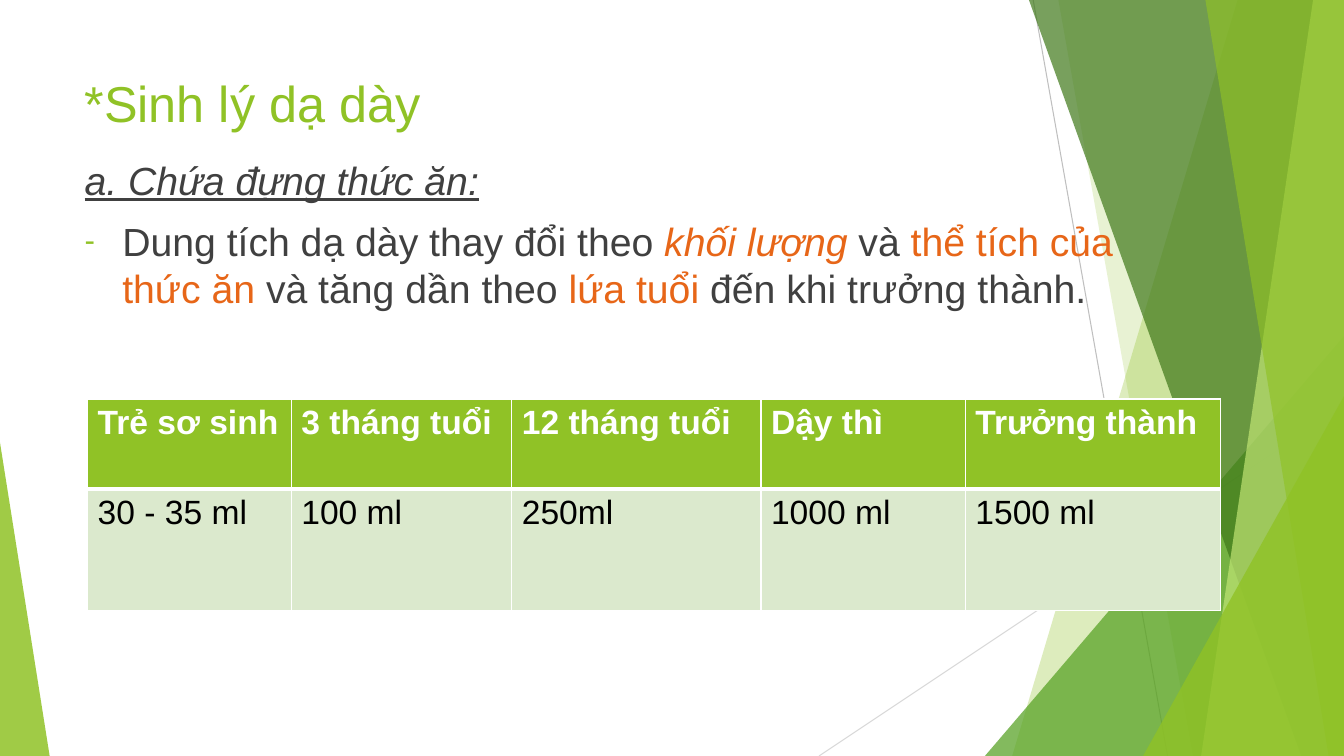
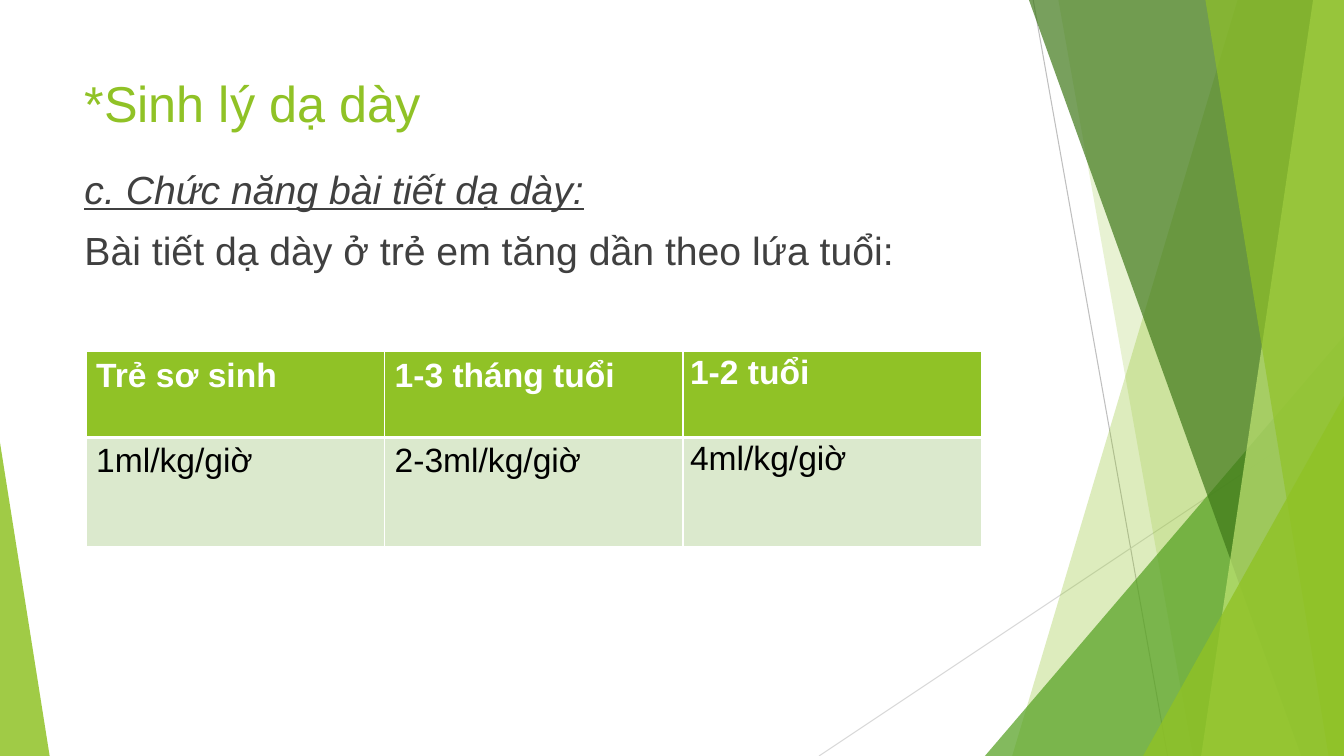
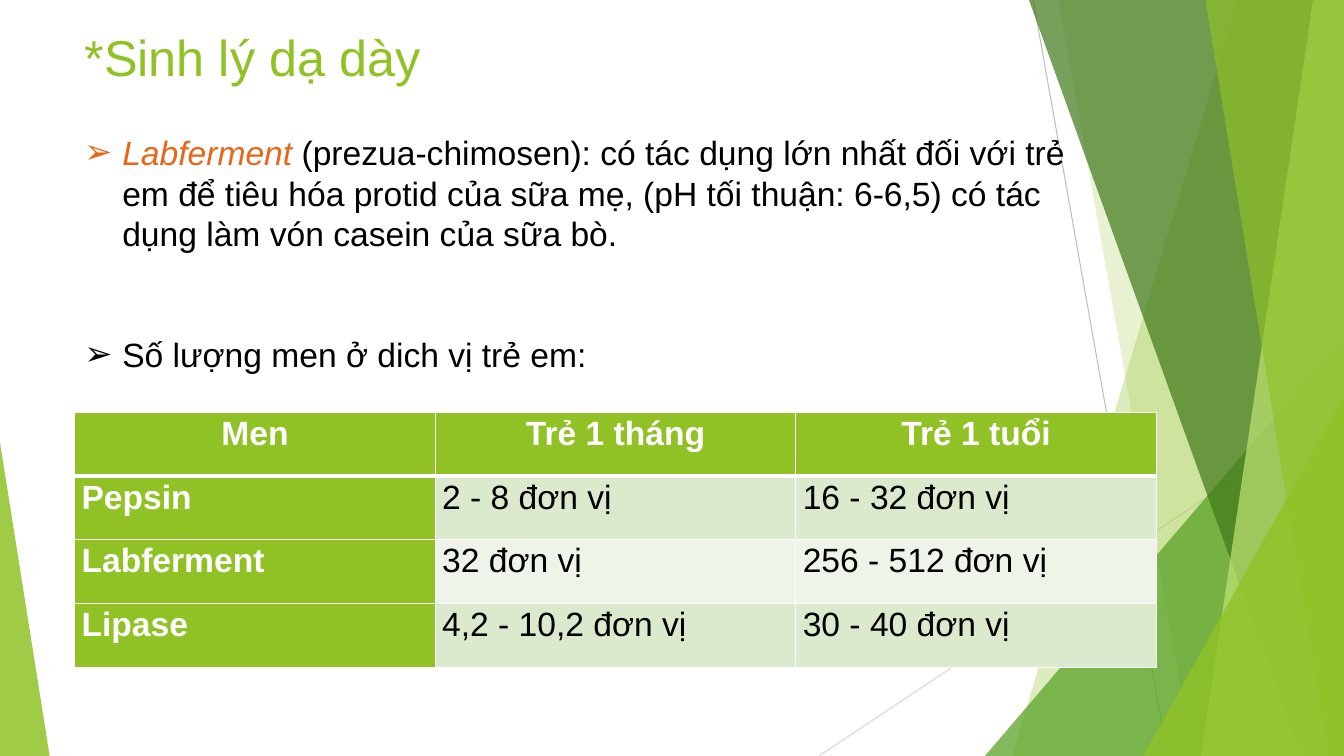
from lxml.etree import SubElement
from pptx import Presentation
from pptx.dml.color import RGBColor
from pptx.enum.shapes import MSO_CONNECTOR, MSO_SHAPE
from pptx.enum.text import MSO_ANCHOR, PP_ALIGN
from pptx.oxml.ns import qn
from pptx.util import Pt

WIDE, HIGH = 960, 540
LEFT = 53.3
FONT = "Arial"
GREEN, DARK, ORANGE = "90C226", "404040", "E76618"
WHITE, BLACK = "FFFFFF", "000000"
BANDS = ("DBE9CD", "EEF4E8")
HEAD = {"size": Pt(36)}
BODY = {"size": Pt(28)}
TEXT = {"size": Pt(24)}
SLANT = {"italic": True}
TOPIC = {"italic": True, "underline": True}
TIGHT = {"margin_left": Pt(5), "margin_right": Pt(5),
         "margin_top": 0, "margin_bottom": 0}
DASH = {"char": "-", "color": GREEN, "size": 80}
ARROW = {"char": "➢"}

LINES = [((738, 0), (834, HIGH), "BFBFBF"),
         ((WIDE, 290), (585, HIGH), "D9D9D9")]
BACK = [(884, 723, GREEN, 30), (756, 852, GREEN, 20)]
FRONT = [(735, 929.5, "3F7819", 70), (938, 858, "C0E474", 70),
         (861, 949, GREEN, 65)]


def hue(code):
    return RGBColor.from_string(code)


def put(target, values):
    for name, value in values.items():
        setattr(target, name, value)


def add(parent, tag, **values):
    node = SubElement(parent, qn(tag))
    for name, value in values.items():
        node.set(name, str(value))
    return node


def paint(shape, color, alpha):
    shape.shadow.inherit = False
    shape.fill.solid()
    shape.fill.fore_color.rgb = hue(color)
    shape.line.fill.background()
    tint = shape.element.spPr.find(".//" + qn("a:srgbClr"))
    add(tint, "a:alpha", val=alpha * 1000)


def line(slide, start, end, color):
    ends = [Pt(value) for value in start + end]
    rule = slide.shapes.add_connector(MSO_CONNECTOR.STRAIGHT, *ends)
    rule.line.color.rgb = hue(color)
    rule.line.width = Pt(0.75)
    add(rule.element.spPr, "a:effectLst")


def band(slide, top, foot, color, alpha):
    form = slide.shapes.build_freeform(Pt(top), 0)
    form.add_line_segments([(Pt(WIDE), 0), (Pt(WIDE), Pt(HIGH)),
                            (Pt(foot), Pt(HIGH))])
    paint(form.convert_to_shape(), color, alpha)


def wedge(slide, left, top, width, peak, color, alpha):
    box = [Pt(value) for value in (left, top, width, HIGH - top)]
    shape = slide.shapes.add_shape(MSO_SHAPE.ISOSCELES_TRIANGLE, *box)
    shape.adjustments[0] = peak
    paint(shape, color, alpha)


def scene(slide):
    for item in LINES:
        line(slide, *item)
    for item in BACK:
        band(slide, *item)
    wedge(slide, 703.5, 240, WIDE - 703.5, 1, "54A021", 72)
    for item in FRONT:
        band(slide, *item)
    wedge(slide, 816.5, 283, WIDE - 816.5, 1, GREEN, 80)
    wedge(slide, 0, 316, 35.5, 0, GREEN, 85)


def write(para, runs, look):
    for text, color, style in runs:
        run = para.add_run()
        run.text = text
        put(run.font, {"name": FONT, **look, **style})
        run.font.color.rgb = hue(color)


def mark(para, char, color=None, size=None):
    props = para._p.get_or_add_pPr()
    props.set("marL", str(Pt(27)))
    props.set("indent", str(-Pt(27)))
    if color:
        add(add(props, "a:buClr"), "a:srgbClr", val=color)
    if size:
        add(props, "a:buSzPct", val=size * 1000)
    add(props, "a:buFont", typeface=FONT)
    add(props, "a:buChar", char=char)


def block(slide, place, paras, look, anchor=MSO_ANCHOR.TOP):
    box = slide.shapes.add_textbox(*[Pt(value) for value in place])
    frame = box.text_frame
    put(frame, {"word_wrap": True, "vertical_anchor": anchor})
    for index, (runs, gap, sign) in enumerate(paras):
        para = frame.add_paragraph() if index else frame.paragraphs[0]
        para.space_before = Pt(gap)
        if sign:
            mark(para, **sign)
        write(para, runs, look)


def edge(cell, top, foot):
    props = cell._tc.get_or_add_tcPr()
    for side, width in zip("LRTB", (1, 1, top, foot)):
        rule = add(props, "a:ln" + side, w=Pt(width))
        add(add(rule, "a:solidFill"), "a:srgbClr", val=WHITE)


def grid(slide, left, top, cols, rows, data, tight=(), side=False,
         align=PP_ALIGN.LEFT):
    frame = slide.shapes.add_table(len(rows), len(cols), Pt(left), Pt(top),
                                   Pt(sum(cols)), Pt(sum(rows)))
    table = frame.table
    for col, width in zip(table.columns, cols):
        col.width = Pt(width)
    for row, height in zip(table.rows, rows):
        row.height = Pt(height)
    for y, texts in enumerate(data):
        for x, text in enumerate(texts):
            cell = table.cell(y, x)
            para = cell.text_frame.paragraphs[0]
            bold = y == 0 or (side and x == 0)
            edge(cell, 3 if y == 1 else 1, 3 if y == 0 else 1)
            cell.fill.solid()
            cell.fill.fore_color.rgb = hue(GREEN if bold else BANDS[(y - 1) % 2])
            if x in tight:
                put(cell, TIGHT)
                para.line_spacing = 1.07
            para.alignment = PP_ALIGN.LEFT if y else align
            write(para, [(text, WHITE if bold else BLACK, {"bold": bold})], TEXT)


def start(deck, top):
    slide = deck.slides.add_slide(deck.slide_layouts[6])
    scene(slide)
    block(slide, (LEFT, top, 677, 60),
          [([("*Sinh lý dạ dày", GREEN, {})], 0, None)], HEAD)
    return slide


def store(deck):
    slide = start(deck, 48.2)
    block(slide, (LEFT, 108, 759.6, 368), [
        ([("a. Chứa đựng thức ăn:", DARK, TOPIC)], 10, None),
        ([("Dung tích dạ dày thay đổi theo ", DARK, {}),
          ("khối lượng ", ORANGE, SLANT),
          ("và ", DARK, {}),
          ("thể tích của thức ăn ", ORANGE, {}),
          ("và tăng dần theo ", DARK, {}),
          ("lứa tuổi ", ORANGE, {}),
          ("đến khi trưởng thành.", DARK, {})], 10, DASH),
    ], BODY)
    grid(slide, 62.6, 285, (145.5, 157.5, 178, 146, 182), (64.5, 86.5), [
        ("Trẻ sơ sinh", "3 tháng tuổi", "12 tháng tuổi", "Dậy thì",
         "Trưởng thành"),
        ("30 - 35 ml", "100 ml", "250ml", "1000 ml", "1500 ml"),
    ])


def output(deck):
    slide = start(deck, 48.2)
    block(slide, (LEFT, 114.5, 737.3, 403), [
        ([("c. Chức năng bài tiết dạ dày:", DARK, TOPIC)], 10, None),
        ([("Bài tiết dạ dày ở trẻ em tăng dần theo lứa tuổi:", DARK, {})],
         10, None),
    ], BODY)
    grid(slide, 61.5, 251.3, [213.2] * 3, (61.2, 77.8), [
        ("Trẻ sơ sinh", "1-3 tháng tuổi", "1-2 tuổi"),
        ("1ml/kg/giờ", "2-3ml/kg/giờ", "4ml/kg/giờ"),
    ], tight=(2,))


def enzymes(deck):
    slide = start(deck, 15.1)
    grid(slide, LEFT, 294.6, [257.6] * 3, [45.5] * 4, [
        ("Men", "Trẻ 1 tháng", "Trẻ 1 tuổi"),
        ("Pepsin", "2 - 8 đơn vị", "16 - 32 đơn vị"),
        ("Labferment", "32 đơn vị", "256 - 512 đơn vị"),
        ("Lipase", "4,2 - 10,2 đơn vị", "30 - 40 đơn vị"),
    ], tight=range(3), side=True, align=PP_ALIGN.CENTER)
    block(slide, (LEFT, 90, 738.7, 181.5), [
        ([("Labferment ", ORANGE, SLANT),
          ("(prezua-chimosen): có tác dụng lớn nhất đối với trẻ em để tiêu "
           "hóa protid của sữa mẹ, (pH tối thuận: 6-6,5) có tác dụng làm vón "
           "casein của sữa bò.", BLACK, {})], 0, ARROW),
        ([("Số lượng men ở dich vị trẻ em:", BLACK, {})], 57.6, ARROW),
    ], TEXT, MSO_ANCHOR.MIDDLE)


def main():
    deck = Presentation()
    put(deck, {"slide_width": Pt(WIDE), "slide_height": Pt(HIGH)})
    for build in (store, output, enzymes):
        build(deck)
    deck.save("out.pptx")


if __name__ == "__main__":
    main()
